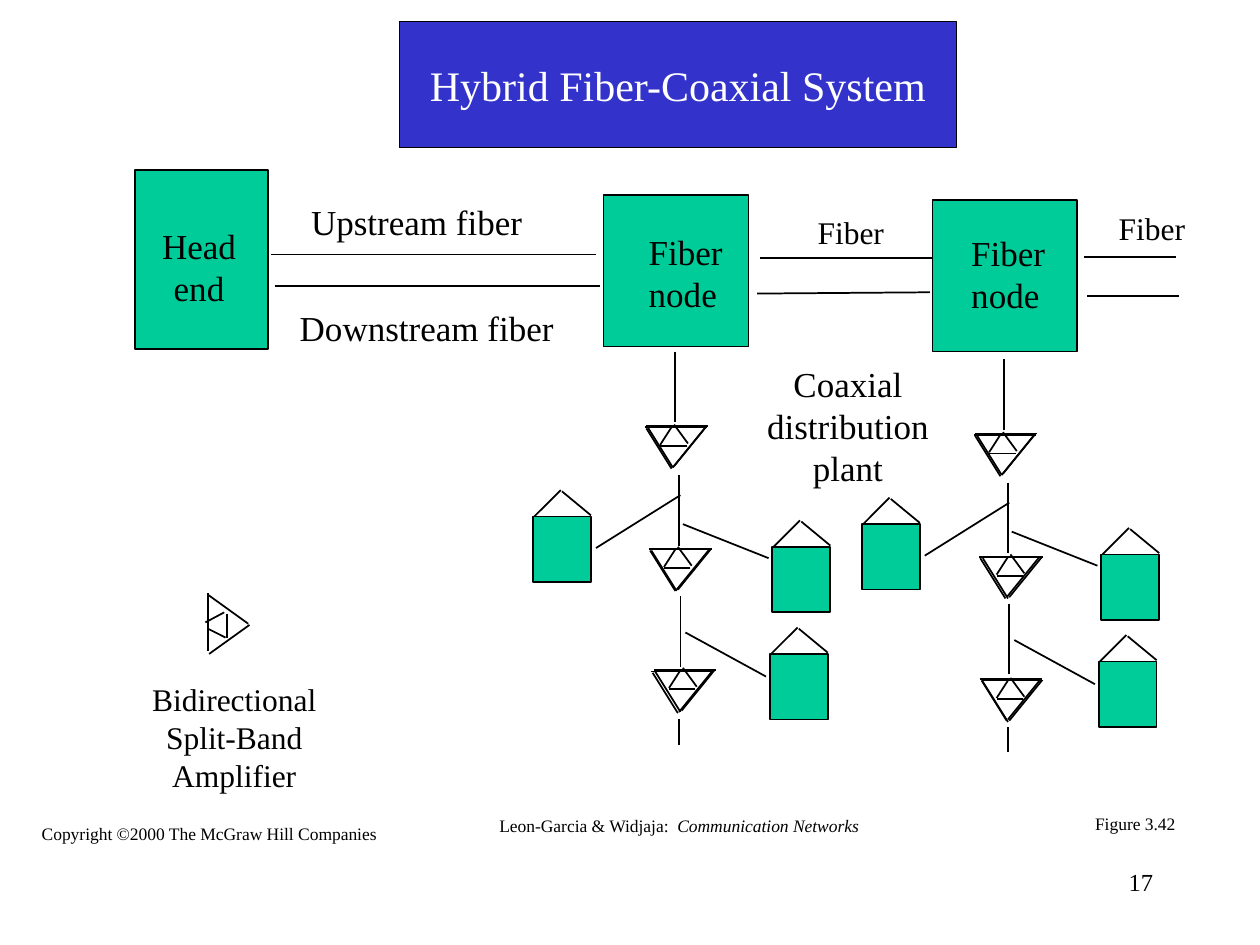
"""Build the Hybrid Fiber-Coaxial System slide."""
from dataclasses import dataclass

from lxml import etree
from pptx import Presentation
from pptx.dml.color import RGBColor
from pptx.enum import shapes, text
from pptx.oxml import ns
from pptx.util import Inches, Pt

FONT = "Times New Roman"
BLACK, WHITE, GREEN, BLUE = "000000", "FFFFFF", "00CC99", "3333CC"
LEFT, CENTER, RIGHT = text.PP_ALIGN.LEFT, text.PP_ALIGN.CENTER, text.PP_ALIGN.RIGHT
TOP, MIDDLE = text.MSO_ANCHOR.TOP, text.MSO_ANCHOR.MIDDLE

Segment = tuple[float, float, float, float]
Point = tuple[float, float]


@dataclass
class Label:
    wording: str
    box: Segment
    size: int = 20
    align: int = LEFT
    anchor: int = TOP
    wrap: bool = False


@dataclass
class Plant:
    origin: Point
    amplifiers: list[Point]


TRIANGLE = [(0.49, 0, 0, 0), (0.48, 0, 0.22, 0.32), (0.01, 0.01, 0.21, 0.33)]
INNER_TRIANGLE = [(0.33, 0.15, 0.12, 0.15), (0.34, 0.13, 0.23, -0.02), (0.21, 0, 0.12, 0.14)]
ROOF = [(0.01, 0, 0.22, -0.21), (0.23, -0.2, 0.46, -0.01)]
TRUNK = [(5.36, 2.79, 5.36, 3.35), (5.39, 3.77, 5.39, 4.33),
         (5.4, 4.73, 5.4, 5.29), (5.39, 5.71, 5.39, 5.91)]
DROPS = [(4.73, 4.35, 5.4, 3.93), (5.42, 4.16, 6.1, 4.43), (6.08, 5.37, 5.44, 5.02)]
BACK_TRIANGLES = [(5.13, 3.38), (5.16, 4.36), (5.17, 5.33)]
HOUSES = [(4.23, 4.1), (6.13, 4.34), (6.11, 5.19)]
PLANTS = [
    Plant((0, 0), [(5.12, 3.39), (5.15, 4.36), (5.19, 5.32)]),
    Plant((2.61, 0.06), [(7.73, 3.45), (7.79, 4.42), (7.79, 5.4)]),
]
NODES = [(1.07, 1.35, 1.06, 1.42), (4.79, 1.55, 1.15, 1.2), (7.4, 1.59, 1.15, 1.2)]
FIBERS = [(2.15, 2.02, 4.73, 2.02), (2.18, 2.27, 4.76, 2.27),
          (6.03, 2.05, 7.4, 2.05), (6.01, 2.33, 7.38, 2.32),
          (8.6, 2.04, 9.33, 2.04), (8.63, 2.35, 9.36, 2.35)]
LEGEND_AMPLIFIER = [(1.65, 4.71, 1.65, 5.17), (1.65, 4.72, 1.97, 4.95),
                    (1.66, 5.19, 1.98, 4.96), (1.8, 4.87, 1.8, 5.06),
                    (1.78, 4.86, 1.63, 4.94), (1.65, 4.99, 1.79, 5.06)]
LABELS = [
    Label("Head\nend", (1.13, 1.73, 0.9, 0.76), align=CENTER, wrap=True),
    Label("Upstream fiber", (2.37, 1.54, 1.88, 0.43)),
    Label("Downstream fiber", (2.28, 2.38, 2.22, 0.43)),
    Label("Fiber\nnode", (5.05, 1.78, 0.79, 0.76)),
    Label("Fiber\nnode", (7.61, 1.79, 0.79, 0.76)),
    Label("Fiber", (6.39, 1.64, 0.73, 0.4), 18),
    Label("Fiber", (8.78, 1.61, 0.73, 0.4), 18),
    Label("Coaxial\ndistribution\nplant", (5.93, 2.83, 1.6, 1.1), align=CENTER),
    Label("Bidirectional\nSplit-Band\nAmplifier", (1.06, 5.35, 1.6, 1), 18, CENTER),
    Label("Figure 3.42", (8.59, 6.4, 0.84, 0.27), 10, CENTER, MIDDLE),
    Label("Copyright ©2000 The McGraw Hill Companies",
          (0.23, 6.48, 2.86, 0.27), 10, CENTER, MIDDLE),
    Label("17", (7.17, 6.83, 2.08, 0.5), 14, RIGHT, wrap=True),
]
CITATION = Label("Leon-Garcia & Widjaja:  ", (3.86, 6.42, 3.06, 0.27), 10, CENTER, MIDDLE)


def color(value: str) -> RGBColor:
    return RGBColor.from_string(value)


def paint(shape, fill: str, width: float) -> None:
    shape.fill.solid()
    shape.fill.fore_color.rgb = color(fill)
    shape.line.color.rgb = color(BLACK)
    shape.line.width = Pt(width)


def write(frame, label: Label, font_color: str = BLACK) -> None:
    frame.text = label.wording
    frame.word_wrap = label.wrap
    frame.vertical_anchor = label.anchor
    for paragraph in frame.paragraphs:
        paragraph.alignment = label.align
        paragraph.font.name = FONT
        paragraph.font.size = Pt(label.size)
        paragraph.font.color.rgb = color(font_color)


def add_label(slide, label: Label):
    frame = slide.shapes.add_textbox(*map(Inches, label.box)).text_frame
    write(frame, label)
    frame.auto_size = text.MSO_AUTO_SIZE.SHAPE_TO_FIT_TEXT
    return frame


def add_box(slide, box: Segment) -> None:
    shape = slide.shapes.add_shape(shapes.MSO_SHAPE.RECTANGLE, *map(Inches, box))
    shape.shadow.inherit = False
    paint(shape, GREEN, 1)


def add_lines(slide, segments: list[Segment], origin: Point = (0, 0)) -> None:
    x, y = origin
    for x1, y1, x2, y2 in segments:
        ends = map(Inches, (x + x1, y + y1, x + x2, y + y2))
        connector = slide.shapes.add_connector(shapes.MSO_CONNECTOR.STRAIGHT, *ends)
        connector.line.color.rgb = color(BLACK)
        connector.line.width = Pt(1)
        etree.SubElement(connector._element.spPr, ns.qn("a:effectLst"))


def add_plant(slide, plant: Plant) -> None:
    dx, dy = plant.origin
    add_lines(slide, TRUNK + DROPS, plant.origin)
    for x, y in BACK_TRIANGLES:
        add_lines(slide, TRIANGLE, (x + dx, y + dy))
    for amplifier in plant.amplifiers:
        add_lines(slide, TRIANGLE + INNER_TRIANGLE, amplifier)
    for x, y in HOUSES:
        add_box(slide, (x + dx, y + dy, 0.46, 0.52))
        add_lines(slide, ROOF, (x + dx, y + dy))


def add_title(slide) -> None:
    label = Label("Hybrid Fiber-Coaxial System", (3.17, 0.17, 4.42, 1), 24, CENTER, MIDDLE)
    title = slide.shapes.title
    title.left, title.top, title.width, title.height = map(Inches, label.box)
    paint(title, BLUE, 0.75)
    write(title.text_frame, label, WHITE)
    title.text_frame.auto_size = text.MSO_AUTO_SIZE.NONE


def main() -> None:
    presentation = Presentation()
    presentation.slide_width, presentation.slide_height = Inches(10), Inches(7.5)
    slide = presentation.slides.add_slide(presentation.slide_layouts[5])
    add_title(slide)
    for node in NODES:
        add_box(slide, node)
    add_lines(slide, FIBERS + LEGEND_AMPLIFIER)
    for plant in PLANTS:
        add_plant(slide, plant)
    for label in LABELS:
        add_label(slide, label)
    book = add_label(slide, CITATION).paragraphs[0].add_run()
    book.text = "Communication Networks"
    book.font.italic = True
    presentation.save("out.pptx")


if __name__ == "__main__":
    main()
